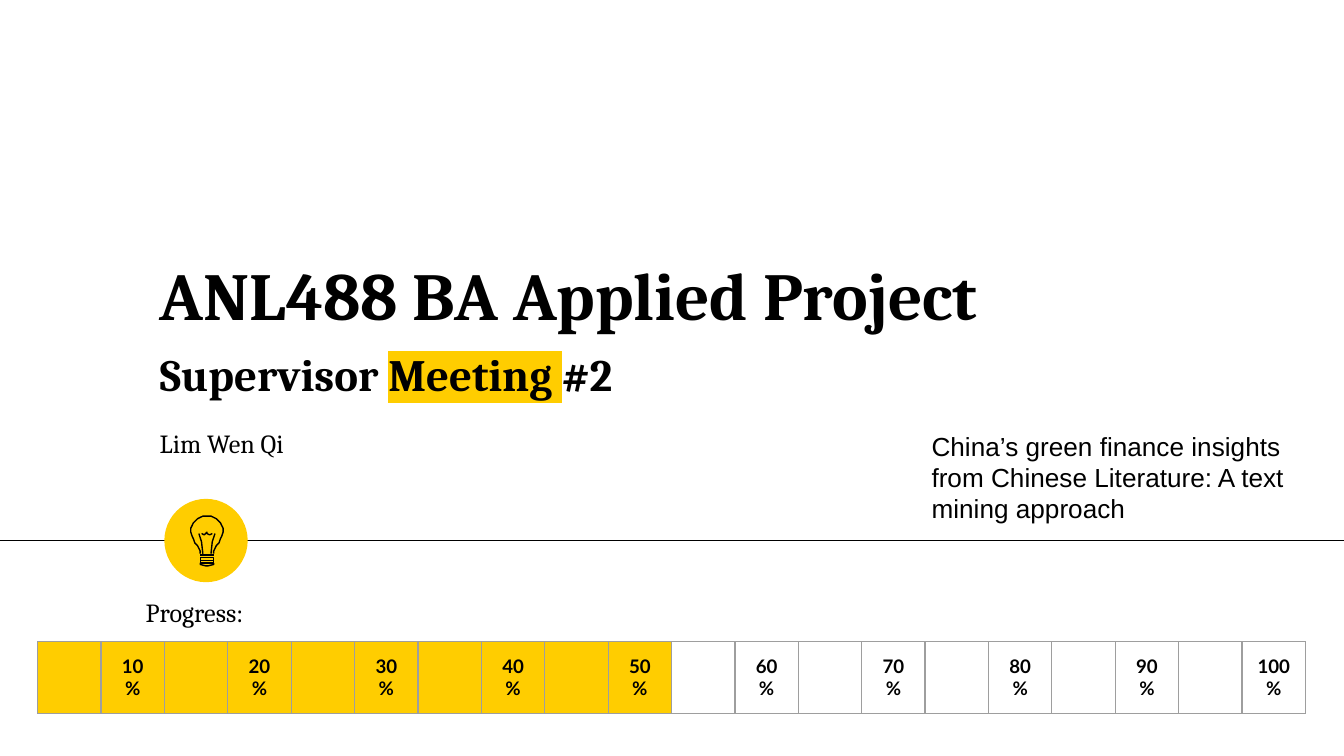
from lxml import etree
from pptx import Presentation
from pptx.dml.color import RGBColor
from pptx.enum.shapes import MSO_CONNECTOR, MSO_SHAPE
from pptx.enum.text import MSO_ANCHOR, MSO_AUTO_SIZE, PP_ALIGN
from pptx.oxml.ns import qn
from pptx.util import Inches, Pt

STRAIGHT = MSO_CONNECTOR.STRAIGHT
OVAL = MSO_SHAPE.OVAL
TOP, MIDDLE, BOTTOM = MSO_ANCHOR.TOP, MSO_ANCHOR.MIDDLE, MSO_ANCHOR.BOTTOM
GROW, FIXED = MSO_AUTO_SIZE.SHAPE_TO_FIT_TEXT, MSO_AUTO_SIZE.NONE
LEFT, CENTER = PP_ALIGN.LEFT, PP_ALIGN.CENTER

BLACK, YELLOW, GRAY = "000000", "FFCD00", "9E9E9E"
SERIF, SANS, LABEL = "Cambria", "Arial", "Lato"
GRID = 0.1
BULB_UNIT = 0.01
STEPS, STEPS_DONE = 20, 10


def color(value):
    return RGBColor.from_string(value)


def grid(*cells):
    return [Inches(cell * GRID) for cell in cells]


def mirrored(half):
    return half + [(-x, y) for x, y in reversed(half) if x]


class Deck:
    def __init__(self):
        self.prs = Presentation()
        self.prs.slide_width, self.prs.slide_height = grid(100, 56.25)
        self.slide = self.prs.slides.add_slide(self.prs.slide_layouts[0])
        self.shapes = self.slide.shapes

    def style(self, paragraph, size, font=SERIF, bold=False, align=LEFT):
        paragraph.alignment = align
        paragraph.font.size = Pt(size)
        paragraph.font.name = font
        paragraph.font.bold = bold
        paragraph.font.color.rgb = color(BLACK)

    def outline(self, part):
        part.line.color.rgb = color(BLACK)
        part.line.width = Pt(0.75)

    def fill_text(self, holder, place, runs, size, anchor=TOP, inset=1, resize=GROW, **look):
        holder.left, holder.top, holder.width, holder.height = grid(*place)
        frame = holder.text_frame
        frame.word_wrap, frame.auto_size = True, resize
        frame.vertical_anchor = anchor
        frame.margin_left, frame.margin_right = grid(1, 1)
        frame.margin_top, frame.margin_bottom = grid(inset, inset)
        paragraph = frame.paragraphs[0]
        paragraph.space_before = Pt(0)
        for text, marker in runs:
            run = paragraph.add_run()
            run.text = text
            if marker:
                highlight = etree.SubElement(run.font._element, qn("a:highlight"))
                etree.SubElement(highlight, qn("a:srgbClr"), val=marker)
        self.style(paragraph, size, **look)

    def text(self, place, content, size, **look):
        box = self.shapes.add_textbox(*grid(*place))
        self.fill_text(box, place, [(content, None)], size, **look)

    def line(self, shapes, start, end):
        rule = shapes.add_connector(STRAIGHT, *grid(*start, *end))
        self.outline(rule)
        etree.SubElement(rule._element.spPr, qn("a:effectLst"))

    def disc(self, place):
        disc = self.shapes.add_shape(OVAL, *grid(*place))
        disc.shadow.inherit = False
        disc.fill.solid()
        disc.fill.fore_color.rgb = color(YELLOW)
        disc.line.fill.background()

    def stroke(self, shapes, origin, points, close=False):
        builder = shapes.build_freeform(*points[0], scale=Inches(BULB_UNIT))
        builder.add_line_segments(points[1:], close=close)
        stroke = builder.convert_to_shape(*grid(*origin))
        stroke.shadow.inherit = False
        stroke.fill.background()
        self.outline(stroke)

    def bulb(self, x, y):
        shapes = self.shapes.add_group_shape().shapes
        glass = mirrored([(5, 28), (5, 26), (6, 24), (7, 22), (9, 20), (10, 17),
                          (11, 15), (12, 12), (11.5, 9), (11, 7), (10, 5), (9, 4),
                          (7, 2), (5, 1), (3, 0.5), (1, 0), (0, 0)])
        coil = mirrored([(4, 13), (2, 14), (0, 13), (0, 12)])
        tip = mirrored([(5, 35), (5, 36), (1, 37)])
        for points in (glass, coil):
            self.stroke(shapes, (x, y), points)
        for side in (-1, 1):
            self.stroke(shapes, (x, y), [(3 * side, 28), (4 * side, 19), (6 * side, 13)])
        for top in (31, 33):
            ring = [(5, top), (5, top + 2), (-5, top + 2), (-5, top)]
            self.stroke(shapes, (x, y), ring, close=True)
        self.stroke(shapes, (x, y), tip, close=True)
        self.line(shapes, (x - 0.5, y + 2.9), (x + 0.5, y + 2.9))

    def border(self, cell):
        properties = cell._tc.get_or_add_tcPr()
        for side in ("a:lnL", "a:lnR", "a:lnT", "a:lnB"):
            edge = etree.SubElement(properties, qn(side), w=str(Pt(0.75)))
            fill = etree.SubElement(edge, qn("a:solidFill"))
            etree.SubElement(fill, qn("a:srgbClr"), val=GRAY)

    def progress(self, place, steps, done):
        table = self.shapes.add_table(1, steps, *grid(*place)).table
        table.first_row = table.horz_banding = False
        for step, column in enumerate(table.columns, 1):
            column.width = grid(place[2] / steps)[0]
            cell = table.cell(0, step - 1)
            self.border(cell)
            if step <= done:
                cell.fill.solid()
                cell.fill.fore_color.rgb = color(YELLOW)
            else:
                cell.fill.background()
            cell.margin_left, cell.margin_right, cell.margin_top, cell.margin_bottom = grid(1, 1, 1, 1)
            cell.vertical_anchor = MIDDLE
            if step % 2 == 0:
                cell.text = f"{step * 100 // steps}%"
            self.style(cell.text_frame.paragraphs[0], 10, LABEL, True, CENTER)


def main():
    deck = Deck()
    deck.line(deck.shapes, (-0.1, 40.22), (100.1, 40.22))
    deck.disc((12.23, 37.12, 6.2, 6.2))
    title, subtitle = deck.slide.placeholders
    deck.fill_text(title, (10.9, 17.65, 69.6, 8.2), [("ANL488 BA Applied Project", None)],
                   36, anchor=BOTTOM, resize=FIXED, bold=True)
    deck.fill_text(subtitle, (10.9, 24.8, 62.7, 6.1),
                   [("Supervisor ", None), ("Meeting ", YELLOW), ("#2", None)], 24, bold=True)
    deck.bulb(15.4, 38.4)
    deck.text((10.9, 30.84, 20.1, 4.4), "Lim Wen Qi", 14)
    deck.progress((2.8, 47.74, 94.4, 4.3), STEPS, STEPS_DONE)
    deck.text((9.86, 43.4, 20.5, 4.4), "Progress:", 14)
    deck.text((68.33, 31.5, 28.4, 8.1),
              "China’s green finance insights from Chinese Literature: A text mining approach",
              14, inset=0.5, font=SANS)
    deck.prs.save("out.pptx")


if __name__ == "__main__":
    main()
